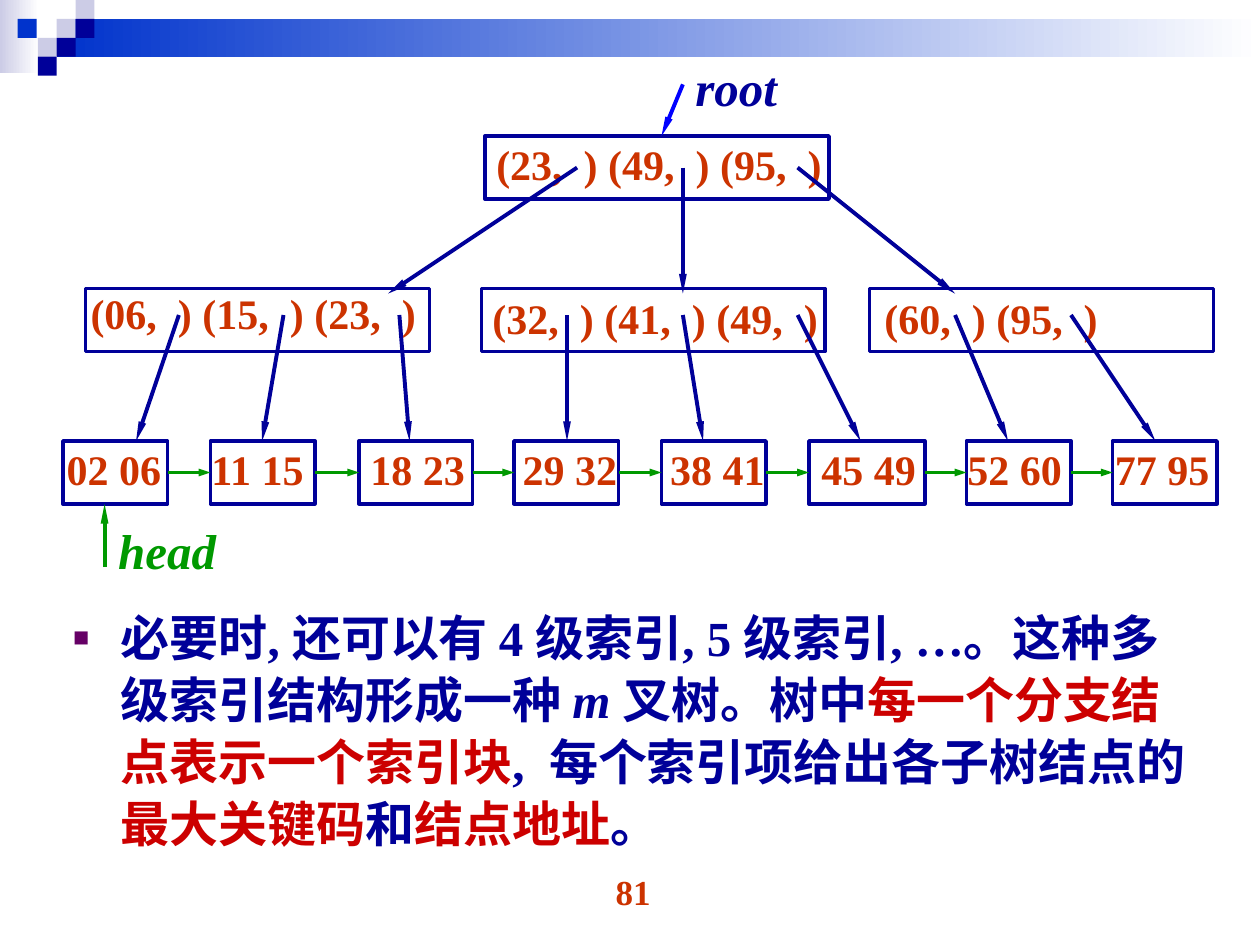
"""Build a slide showing a multi-level index tree and its explanation."""
import itertools

import pptx
import pptx.dml.color
import pptx.enum.shapes
import pptx.enum.text
import pptx.oxml.ns
import pptx.util
from lxml import etree

Inches = pptx.util.Inches
Pt = pptx.util.Pt
RGBColor = pptx.dml.color.RGBColor
qn = pptx.oxml.ns.qn

NAVY = RGBColor(0x00, 0x00, 0x99)
BLUE = RGBColor(0x00, 0x33, 0xCC)
ROOT_BLUE = RGBColor(0x00, 0x00, 0xFF)
LAVENDER = RGBColor(0xCC, 0xCC, 0xE6)
GREEN = RGBColor(0x00, 0x99, 0x00)
RUST = RGBColor(0xCC, 0x33, 0x00)
RED = RGBColor(0xCC, 0x00, 0x00)
WHITE = RGBColor(0xFF, 0xFF, 0xFF)
FONT = "Times New Roman"

NODE_WIDTH, BOX_HEIGHT = 2.73, 0.5
LEAF_TOP, CHAIN_Y = 3.5, 3.75

INDEX_NODES = [
    (3.85, 1.08, 3.84, 1.05, "(23,  ) (49,  ) (95,  )"),
    (0.68, 2.29, 0.62, 2.23, "(06,  ) (15,  ) (23,  )"),
    (3.82, 2.29, 3.81, 2.27, "(32,  ) (41,  ) (49,  )"),
    (6.9, 2.29, 6.92, 2.27, "(60,  ) (95,  )"),
]
LEAVES = [
    (0.5, 0.83, 0.43, "02 06"),
    (1.67, 0.83, 1.58, "11 15"),
    (2.85, 0.9, 2.84, "18 23"),
    (4.08, 0.83, 4.05, "29 32"),
    (5.25, 0.83, 5.22, "38 41"),
    (6.42, 0.92, 6.42, "45 49"),
    (7.67, 0.83, 7.58, "52 60"),
    (8.83, 0.83, 8.75, "77 95"),
]
ROOT_POINTERS = [(4.58, 3.08), (5.42, 5.42), (6.33, 7.58)]
LEAF_POINTERS = [
    (1.42, 1.08), (2.25, 2.08), (3.17, 3.25), (4.5, 4.5),
    (5.42, 5.58), (6.33, 6.83), (7.58, 8), (8.5, 9.17),
]
HEADER_SQUARES = [
    (0.45, 0.15, LAVENDER), (0.6, 0, LAVENDER), (0.6, 0.15, NAVY),
    (0.3, 0.3, LAVENDER), (0.14, 0.15, BLUE), (0.45, 0.3, NAVY),
    (0.3, 0.45, NAVY),
]
EXPLANATION = [
    ("必要时, 还可以有 4 级索引, 5 级索引, …。这种多级索引结构形成一种 ", NAVY, False),
    ("m ", NAVY, True),
    ("叉树。树中", NAVY, False),
    ("每一个分支结点表示一个索引块", RED, False),
    (",  每个索引项给出各子树结点的", NAVY, False),
    ("最大关键码", RED, False),
    ("和", NAVY, False),
    ("结点地址", RED, False),
    ("。", NAVY, False),
]


def add_rect(slide, left, top, width, height):
    """Add a rectangle without shadow or outline."""
    rect = slide.shapes.add_shape(
        pptx.enum.shapes.MSO_SHAPE.RECTANGLE,
        Inches(left), Inches(top), Inches(width), Inches(height))
    rect.shadow.inherit = False
    rect.line.fill.background()
    return rect


def add_gradient_bar(slide, left, top, width, height, start):
    """Add a bar fading from the start colour to white."""
    fill = add_rect(slide, left, top, width, height).fill
    fill.gradient()
    fill.gradient_angle = 0
    for stop, color, position in zip(fill.gradient_stops, (start, WHITE), (0, 1)):
        stop.color.rgb = color
        stop.position = position


def add_square(slide, left, top, color):
    """Add one small square of the header mosaic."""
    fill = add_rect(slide, left, top, 0.15, 0.15).fill
    fill.solid()
    fill.fore_color.rgb = color


def add_node_box(slide, left, top, width):
    """Add the outlined box of a tree node."""
    box = add_rect(slide, left, top, width, BOX_HEIGHT)
    box.fill.solid()
    box.fill.fore_color.rgb = WHITE
    box.line.color.rgb = NAVY
    box.line.width = Pt(2)


def add_run(paragraph, text, size, color, italic=False):
    """Add a bold run to a paragraph."""
    run = paragraph.add_run()
    run.text = text
    run.font.name = FONT
    run.font.size = Pt(size)
    run.font.bold = True
    run.font.italic = italic
    run.font.color.rgb = color


def add_label(slide, left, top, width, height, text, size=24, color=RUST, italic=False):
    """Add a single-line label and return its text frame."""
    frame = slide.shapes.add_textbox(
        Inches(left), Inches(top), Inches(width), Inches(height)).text_frame
    frame.word_wrap = False
    add_run(frame.paragraphs[0], text, size, color, italic)
    return frame


def add_arrow(slide, start, end, color, head_length="lg"):
    """Add a straight arrow with a slim head at its end."""
    arrow = slide.shapes.add_connector(
        pptx.enum.shapes.MSO_CONNECTOR.STRAIGHT,
        *(Inches(value) for value in (*start, *end)))
    arrow.line.color.rgb = color
    arrow.line.width = Pt(2.25)
    etree.SubElement(arrow.line._get_or_add_ln(), qn("a:tailEnd"),
                     type="triangle", w="sm", len=head_length)
    etree.SubElement(arrow._element.spPr, qn("a:effectLst"))


def add_header(slide):
    """Add the gradient bars and the mosaic at the top."""
    add_gradient_bar(slide, 0, 0, 0.31, 0.58, LAVENDER)
    add_gradient_bar(slide, 0.45, 0.15, 9.55, 0.3, BLUE)
    for left, top, color in HEADER_SQUARES:
        add_square(slide, left, top, color)


def add_explanation(body):
    """Fill the body placeholder with the bulleted explanation."""
    body.left, body.top = Inches(0.48), Inches(4.75)
    body.width, body.height = Inches(9.17), Inches(2.33)
    body.text_frame.auto_size = pptx.enum.text.MSO_AUTO_SIZE.NONE
    paragraph = body.text_frame.paragraphs[0]
    paragraph.line_spacing = 1.05
    paragraph.space_before = Pt(0)
    properties = paragraph._p.get_or_add_pPr()
    properties.set("marL", str(Inches(0.38)))
    properties.set("indent", str(-Inches(0.38)))
    bullet_color = etree.SubElement(properties, qn("a:buClr"))
    etree.SubElement(bullet_color, qn("a:srgbClr"), val="660066")
    etree.SubElement(properties, qn("a:buSzPct"), val="55000")
    etree.SubElement(properties, qn("a:buFont"), typeface=FONT)
    etree.SubElement(properties, qn("a:buChar"), char="■")
    for text, color, italic in EXPLANATION:
        add_run(paragraph, text, 28, color, italic)


def add_tree(slide):
    """Add the index nodes, the chained leaves and all pointers."""
    for left, top, text_left, text_top, keys in INDEX_NODES:
        add_node_box(slide, left, top, NODE_WIDTH)
        add_label(slide, text_left, text_top, 2.78, BOX_HEIGHT, keys)
    for left, width, text_left, keys in LEAVES:
        add_node_box(slide, left, LEAF_TOP, width)
        add_label(slide, text_left, 3.47, 0.95, BOX_HEIGHT, keys)
    for (left, width, *_), (next_left, *_) in itertools.pairwise(LEAVES):
        add_arrow(slide, (left + width, CHAIN_Y), (next_left, CHAIN_Y), GREEN, "med")
    for start, end in ROOT_POINTERS:
        add_arrow(slide, (start, 1.33), (end, 2.33), NAVY)
    for start, end in LEAF_POINTERS:
        add_arrow(slide, (start, 2.5), (end, LEAF_TOP), NAVY)
    add_arrow(slide, (5.42, 0.67), (5.25, 1.08), ROOT_BLUE)
    add_label(slide, 5.42, 0.41, 0.9, 0.57, "root", 28, NAVY, True)
    add_arrow(slide, (0.83, 4.5), (0.83, 4), GREEN)
    add_label(slide, 0.84, 4.08, 1.03, 0.57, "head", 28, GREEN, True)


def main():
    """Build the slide and save it."""
    deck = pptx.Presentation()
    deck.slide_width, deck.slide_height = Inches(10), Inches(7.5)
    slide = deck.slides.add_slide(deck.slide_layouts[1])
    title = slide.shapes.title._element
    title.getparent().remove(title)
    add_header(slide)
    page_number = add_label(slide, 3.86, 6.86, 2.33, 0.52, "81", 20)
    page_number.word_wrap = True
    page_number.paragraphs[0].alignment = pptx.enum.text.PP_ALIGN.CENTER
    add_explanation(slide.placeholders[1])
    add_tree(slide)
    deck.save("out.pptx")


if __name__ == "__main__":
    main()
